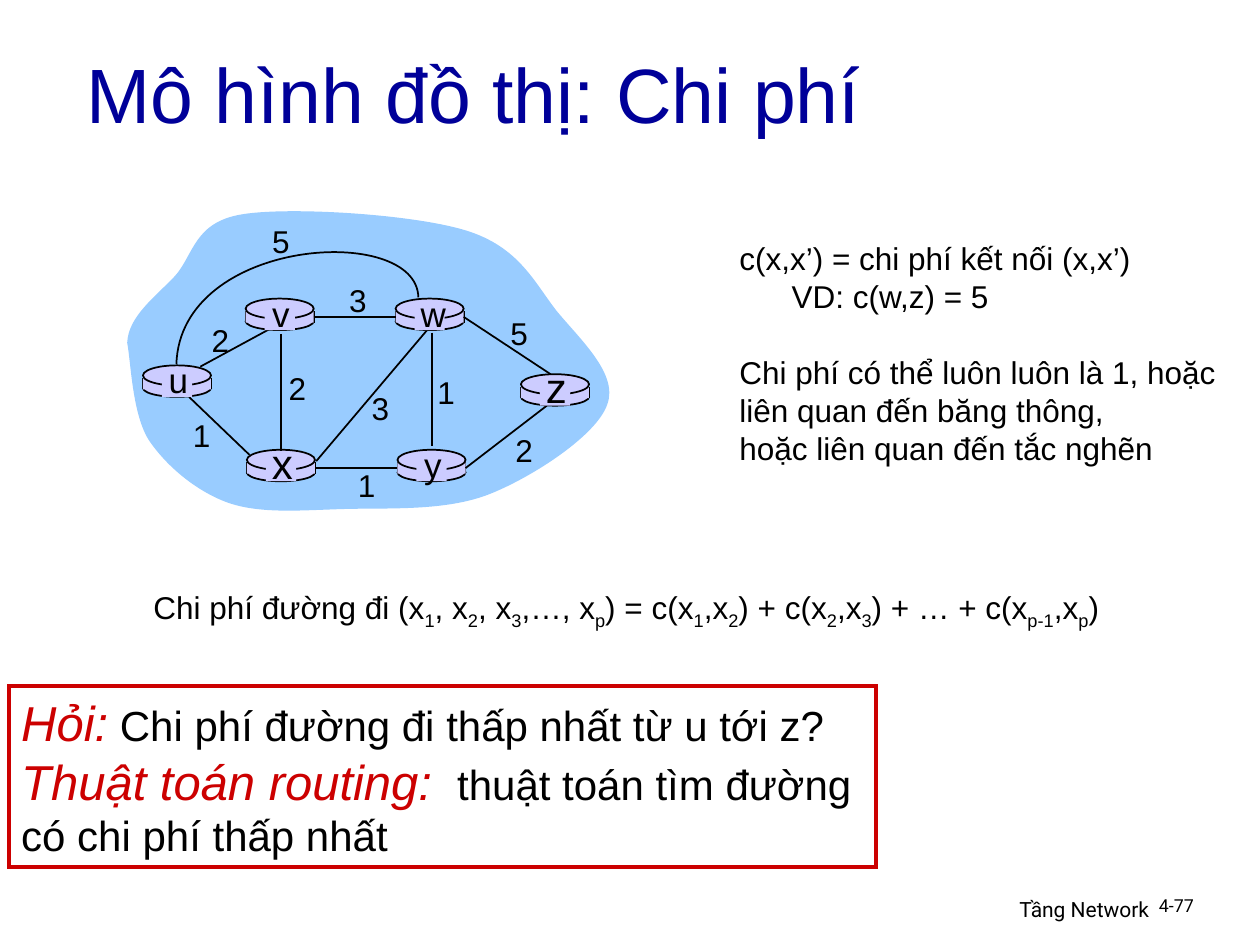
from lxml.etree import SubElement
from pptx import Presentation
from pptx.dml.color import RGBColor
from pptx.enum.shapes import MSO_CONNECTOR, MSO_SHAPE
from pptx.enum.text import MSO_ANCHOR, PP_ALIGN
from pptx.oxml.ns import qn
from pptx.util import Inches, Pt

prs = Presentation()
prs.slide_width, prs.slide_height = Inches(10), Inches(7.5)
COL, ROW = prs.slide_width / 1000, prs.slide_height / 750
BLACK, RED, NAVY, SKY, LILAC = "000000", "CC0000", "000099", "99CCFF", "CCCCFF"

BLOB = [(0, 108),
        (1, 87), (22, 72), (38, 55), (53, 38), (53, 12), (92, 6),
        (130, 0), (227, 6), (269, 19), (311, 32), (323, 60), (341, 83),
        (360, 106), (390, 133), (381, 157), (373, 181), (323, 214), (288, 228),
        (253, 242), (207, 239), (172, 240), (138, 241), (106, 244), (80, 235),
        (55, 226), (31, 206), (17, 185), (4, 164), (3, 124), (0, 108)]
ARC = [(231, 72), (230, 13), (42, 24), (39, 125)]
ROUTERS = {"u": (12.5, 126, 20), "x": (95, 193, 24), "v": (94, 73, 20),
           "w": (213, 73, 20), "y": (214.5, 193, 20), "z": (312.5, 133, 24)}
EDGES = [((242, 100), (242, 190)), ((122, 101), (122, 194)),
         ((150, 202), (238, 98)), (("y", 3), (333, 158)),
         (("x", 3), ("y", 1)), ((97, 197), (49, 151)),
         (("v", 3), ("w", 1)), (("w", 3), (336, 133))]
COSTS = [("2", 74, 106), ("2", 135, 144), ("1", 59, 181), ("3", 201, 160),
         ("1", 190, 221), ("1", 253, 147), ("2", 315, 193), ("5", 311, 100),
         ("3", 183, 74), ("5", 122, 27)]


def rgb(hex_code):
    return RGBColor.from_string(hex_code)


def grid(x, y, w, h):
    return round(x * COL), round(y * ROW), round(w * COL), round(h * ROW)


def assign(obj, values):
    for name, value in values.items():
        setattr(obj, name, value)


def paint(sp, fill=None, line=None, width=1):
    sp.shadow.inherit = False
    if fill:
        sp.fill.solid()
        sp.fill.fore_color.rgb = rgb(fill)
    else:
        sp.fill.background()
    if line:
        sp.line.color.rgb = rgb(line)
        sp.line.width = Pt(width)
        SubElement(sp._element.spPr.find(qn("a:ln")), qn("a:miter"), lim="800000")
    else:
        sp.line.fill.background()
    return sp


def write(tf, paragraphs, size, font="Arial", color=BLACK, wrap=False,
          anchor=MSO_ANCHOR.TOP, **layout):
    assign(tf, {"word_wrap": wrap, "vertical_anchor": anchor})
    for i, runs in enumerate(paragraphs):
        p = tf.add_paragraph() if i else tf.paragraphs[0]
        assign(p, {"alignment": PP_ALIGN.LEFT, **layout})
        for text, values in runs:
            r = p.add_run()
            r.text = text
            values = dict(values)
            base = values.pop("base", None)
            r.font.color.rgb = rgb(values.pop("color", color))
            assign(r.font, {"name": font, "size": Pt(size), **values})
            if base:
                r.font._element.set("baseline", str(base * 1000))
    return tf


def text(s, box, paragraphs, size, **values):
    sp = s.shapes.add_textbox(*grid(*box))
    return write(sp.text_frame, paragraphs, size, **values)


def line(s, start, end):
    cx = s.shapes.add_connector(MSO_CONNECTOR.STRAIGHT, *grid(*start, *end))
    cx.line.color.rgb = rgb(BLACK)
    cx.line.width = Pt(1)
    SubElement(cx._element.spPr, qn("a:effectLst"))
    return cx


def curve(s, box, points, closed, **look):
    left, top = box[:2]
    nodes = [(round((left + x) * COL), round((top + y) * ROW)) for x, y in points]
    fb = s.shapes.build_freeform(*nodes[0])
    fb.add_line_segments(nodes[1:], close=closed)
    sp = fb.convert_to_shape()
    segments = list(sp._element.iter(qn("a:lnTo")))[:len(nodes) - 1]
    for i in range(0, len(segments), 3):
        first, *others = segments[i:i + 3]
        bezier = first.makeelement(qn("a:cubicBezTo"))
        first.addprevious(bezier)
        for segment in (first, *others):
            bezier.append(segment[0])
            segment.getparent().remove(segment)
    paint(sp, **look)


def router(s, x, y):
    def part(kind, dy, h, edge):
        return paint(s.shapes.add_shape(kind, *grid(x, y + dy, 54, h)), LILAC, edge)

    part(MSO_SHAPE.OVAL, 11, 14, BLACK)
    for side in (x, x + 54):
        line(s, (side, y + 10), (side, y + 19))
    body = part(MSO_SHAPE.RECTANGLE, 10, 9, None)
    part(MSO_SHAPE.OVAL, 0, 16, BLACK)
    return body


def router_label(s, name, x, y, size):
    patch = s.shapes.add_shape(MSO_SHAPE.RECTANGLE, *grid(x + 15, y + 2, 24, 23))
    paint(patch, LILAC)
    drop = 10 if size == 20 else 15
    text(s, (x + 10, y - drop, 36, 44), [[(name, {})]], size, alignment=PP_ALIGN.CENTER)


def graph(s, box):
    left, top = box[:2]

    def shift(x, y):
        return left + x, top + y

    curve(s, box, BLOB, True, fill=SKY)
    line(s, shift(58, 127), shift(117, 95))
    bodies = {name: router(s, *shift(x, y)) for name, (x, y, _) in ROUTERS.items()}
    for ends in EDGES:
        points = [shift(0, 0) if end[0] in bodies else shift(*end) for end in ends]
        cx = line(s, *points)
        for end, join in zip(ends, (cx.begin_connect, cx.end_connect)):
            if end[0] in bodies:
                join(bodies[end[0]], end[1])
    curve(s, box, ARC, False, line=BLACK)
    for name, (x, y, size) in ROUTERS.items():
        router_label(s, name, *shift(x, y), size)
    for cost, x, y in COSTS:
        cx, cy = shift(x, y)
        text(s, (cx - 17, cy - 20, 34, 40), [[(cost, {})]], 18, alignment=PP_ALIGN.CENTER)


def notes(s, box):
    lines = ["c(x,x’) = chi phí kết nối (x,x’)", "VD: c(w,z) = 5",
             "Chi phí có thể luôn luôn là 1, hoặc", "liên quan đến băng thông,",
             "hoặc liên quan đến tắc nghẽn"]
    tf = text(s, box, [[(t, {})] for t in lines], 18)
    tf.paragraphs[1]._p.get_or_add_pPr().set("marL", str(round(41.5 * COL)))
    tf.paragraphs[2].space_before = Pt(21.8)


def formula(s, box):
    parts = ("Chi phí đường đi (x|1|, x|2|, x|3|,…, x|p|) = c(x|1|,x|2|) + c(x|2|,x|3"
             "|) + … + c(x|p-1|,x|p|)").split("|")
    runs = [(t, {"base": -25} if i % 2 else {}) for i, t in enumerate(parts)]
    text(s, box, [runs], 18)


def question(s, box):
    lead = {"size": Pt(28), "color": RED, "italic": True}
    sp = paint(s.shapes.add_shape(MSO_SHAPE.RECTANGLE, *grid(*box)), None, RED, 2.25)
    write(sp.text_frame, [
        [("Hỏi:", lead), (" Chi phí đường đi thấp nhất từ u tới z?", {})],
        [("Thuật toán routing: ", lead), (" thuật toán tìm đường", {})],
        [("có chi phí thấp nhất", {})]], 24)


def footer(s, box):
    x, y, w, h = box
    text(s, (x, y, 317, h), [[("Tầng Network", {})]], 12, font="Roboto", wrap=True,
         alignment=PP_ALIGN.RIGHT)
    text(s, (x + 305, y, w - 305, h), [[("4-77", {})]], 10.2, font="Roboto", wrap=True,
         line_spacing=0.9)


def main():
    s = prs.slides.add_slide(prs.slide_layouts[6])
    footer(s, (605, 707, 379, 30))
    text(s, (58.5, 24, 850, 99), [[("Mô hình đồ thị: Chi phí", {})]], 44, color=NAVY,
         wrap=True, anchor=MSO_ANCHOR.MIDDLE)
    graph(s, (101, 164, 391, 245))
    notes(s, (577, 185, 398, 190))
    formula(s, (112, 462, 784, 44))
    question(s, (7, 544.5, 688, 144))
    prs.save("out.pptx")


if __name__ == "__main__":
    main()
